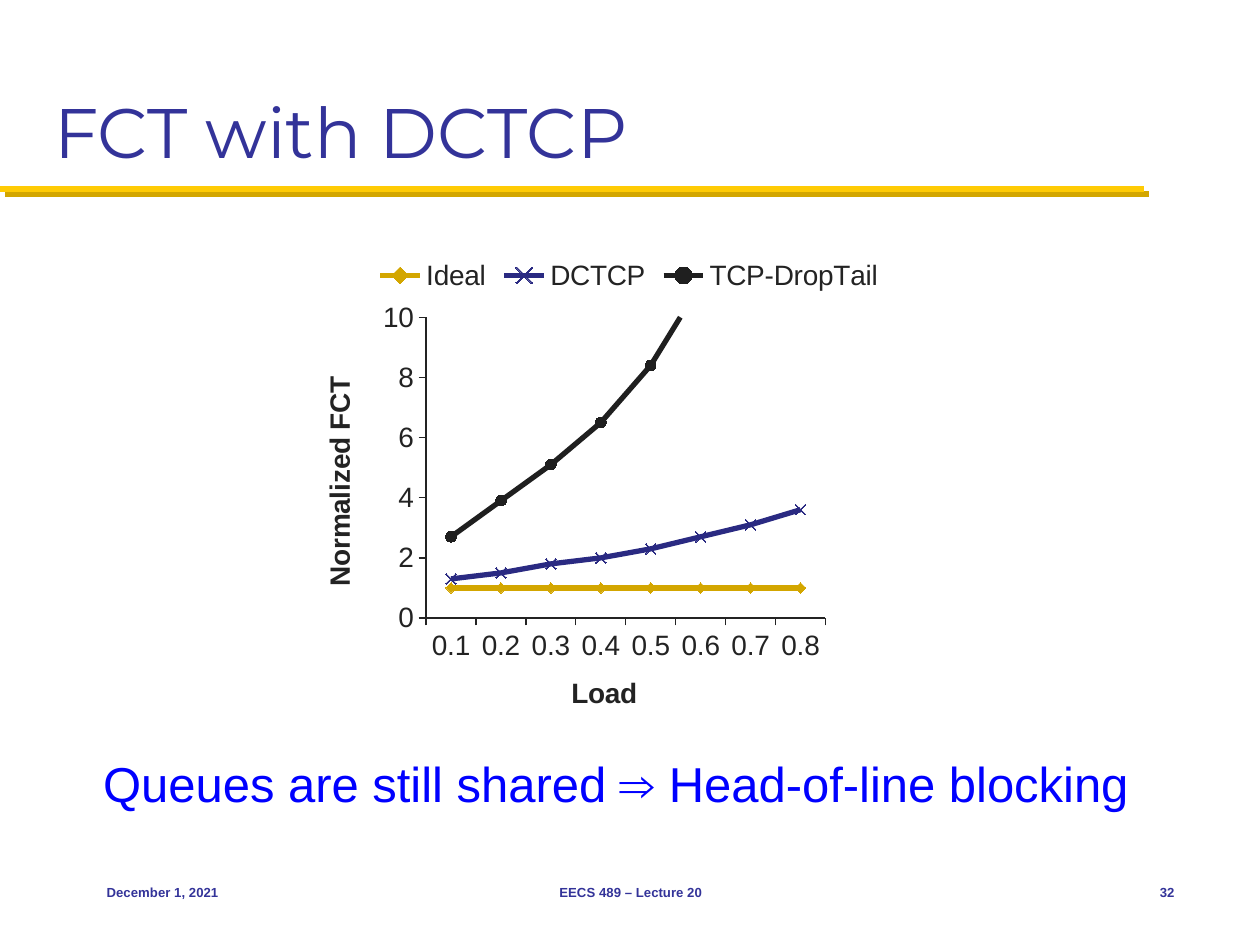
from dataclasses import dataclass

from lxml.etree import SubElement
from pptx import Presentation
from pptx.chart.data import CategoryChartData
from pptx.dml.color import RGBColor
from pptx.enum.chart import XL_CHART_TYPE as CT, XL_LEGEND_POSITION as LP
from pptx.enum.chart import XL_MARKER_STYLE as MS, XL_TICK_MARK as TM
from pptx.enum.shapes import MSO_CONNECTOR as MC
from pptx.enum.text import MSO_ANCHOR as VA, PP_ALIGN as AL
from pptx.oxml import parse_xml
from pptx.oxml.ns import nsdecls, qn
from pptx.util import Cm, Pt


@dataclass(frozen=True)
class Theme:
    navy: str = "333399"
    blue: str = "0000FF"
    yellow: str = "FFCB05"
    gold: str = "D3A600"
    indigo: str = "2A2A82"
    black: str = "1F1F1F"
    ink: str = "232323"
    body_font: str = "Arial"
    title_font: str = "Montserrat"
    title: float = 40
    message: float = 28
    chart: float = 16
    footer: float = 7.5


THEME = Theme()
LOADS = ["0.1", "0.2", "0.3", "0.4", "0.5", "0.6", "0.7", "0.8"]
FCT_SERIES = [
    ("Ideal", [1] * len(LOADS), THEME.gold, MS.DIAMOND),
    ("DCTCP", [1.3, 1.5, 1.8, 2, 2.3, 2.7, 3.1, 3.6], THEME.indigo, MS.X),
    ("TCP-DropTail", [2.7, 3.9, 5.1, 6.5, 8.4, 11.1, 15.1, 20.4],
     THEME.black, MS.CIRCLE),
]
PLOT_AREA = {"x": 0.292, "y": 0.146, "w": 0.409, "h": 0.612}


def rgb(color):
    return RGBColor.from_string(color)


def set_font(font, color, **formats):
    for name, value in formats.items():
        setattr(font, name, value)
    font.color.rgb = rgb(color)


def set_line(line, color, width):
    line.color.rgb = rgb(color)
    line.width = Pt(width)


class SlideBuilder:
    def __init__(self, prs, theme):
        self.s = prs.slides.add_slide(prs.slide_layouts[6])
        self.theme = theme

    def text(self, box, text, size, color, font=None, bold=False,
             align=AL.LEFT, anchor=VA.TOP, wrap=False):
        sp = self.s.shapes.add_textbox(*map(Cm, box))
        tf = sp.text_frame
        tf.word_wrap = wrap
        tf.vertical_anchor = anchor
        p = tf.paragraphs[0]
        p.alignment = align
        r = p.add_run()
        r.text = text
        set_font(r.font, color, size=Pt(size), bold=bold,
                 name=font or self.theme.body_font)

    def rule(self, y, x_end, width):
        """Draw a yellow line from the left edge with a hard gold shadow."""
        line = self.s.shapes.add_connector(MC.STRAIGHT, 0, Cm(y), Cm(x_end), Cm(y))
        set_line(line.line, self.theme.yellow, width)
        line._element.spPr.append(parse_xml(
            f'<a:effectLst {nsdecls("a")}>'
            f'<a:outerShdw blurRad="0" dist="{Pt(4.2)}" dir="2700000" '
            'algn="ctr" rotWithShape="0">'
            f'<a:srgbClr val="{self.theme.gold}"/></a:outerShdw></a:effectLst>'))

    def line_chart(self, box, categories, series, titles, plot_area):
        t = self.theme
        data = CategoryChartData()
        data.categories = categories
        for name, values, *_ in series:
            data.add_series(name, values)
        chart = self.s.shapes.add_chart(
            CT.LINE_MARKERS, *map(Cm, box), data).chart
        set_font(chart.font, t.ink, size=Pt(t.chart), name=t.body_font)
        chart.has_title = False
        chart.has_legend = True
        chart.legend.position = LP.TOP
        chart.legend.include_in_layout = False
        chart.plots[0].vary_by_categories = False

        for ser, (_, _, color, style) in zip(chart.plots[0].series, series):
            ser.smooth = False
            set_line(ser.format.line, color, 3)
            marker = ser.marker
            marker.style, marker.size = style, 6
            set_line(marker.format.line, color, 0.75)
            if style == MS.X:
                marker.format.fill.background()
            else:
                marker.format.fill.solid()
                marker.format.fill.fore_color.rgb = rgb(color)

        for axis, title in zip((chart.category_axis, chart.value_axis), titles):
            self.axis(axis, title)
        value_axis = chart.value_axis
        limits = {"minimum_scale": 0, "maximum_scale": 10, "major_unit": 2}
        for name, value in limits.items():
            setattr(value_axis, name, value)
        body = value_axis.axis_title.text_frame._txBody.bodyPr
        body.set("rot", "-5400000")
        body.set("vert", "horz")
        self.place_plot(chart, plot_area)

    def axis(self, axis, title):
        t = self.theme
        formats = {"has_major_gridlines": False, "major_tick_mark": TM.OUTSIDE,
                   "minor_tick_mark": TM.NONE, "has_title": True}
        for name, value in formats.items():
            setattr(axis, name, value)
        set_line(axis.format.line, t.ink, 0.75)
        tf = axis.axis_title.text_frame
        tf.text = title
        set_font(tf.paragraphs[0].runs[0].font, t.ink, size=Pt(t.chart),
                 name=t.body_font, bold=True)

    def place_plot(self, chart, fractions):
        """Fix the inner plot area at fractions of the chart's size."""
        plot = chart._chartSpace.chart.plotArea
        for old in plot.findall(qn("c:layout")):
            plot.remove(old)
        layout = parse_xml(f'<c:layout {nsdecls("c")}/>')
        manual = SubElement(layout, qn("c:manualLayout"))
        settings = {"layoutTarget": "inner", "xMode": "edge", "yMode": "edge",
                    **fractions}
        for name, value in settings.items():
            SubElement(manual, qn(f"c:{name}")).set("val", str(value))
        plot.insert(0, layout)


def main():
    prs = Presentation()
    prs.slide_width, prs.slide_height = Cm(25.4), Cm(19.05)
    t = THEME
    slide = SlideBuilder(prs, t)

    slide.rule(3.81, 23.06, 3.5)
    slide.text((0.84, 0.43, 23.7, 3.18), "FCT with DCTCP", t.title, t.navy,
               font=t.title_font, anchor=VA.BOTTOM, wrap=True)
    slide.line_chart((2.84, 4.95, 19.69, 9.91), LOADS, FCT_SERIES,
                     ("Load", "Normalized FCT"), PLOT_AREA)
    slide.text((1.83, 15.06, 21.74, 1.45),
               "Queues are still shared ⇒ Head-of-line blocking",
               t.message, t.blue)

    footers = [
        (1.9, 5.28, "December 1, 2021", AL.LEFT),
        (8.69, 8.05, "EECS 489 – Lecture 20", AL.CENTER),
        (22.23, 1.7, "32", AL.RIGHT),
    ]
    for x, width, text, align in footers:
        slide.text((x, 17.35, width, 1.27), text, t.footer, t.navy,
                   bold=True, align=align, anchor=VA.MIDDLE)

    prs.save("out.pptx")


if __name__ == "__main__":
    main()
